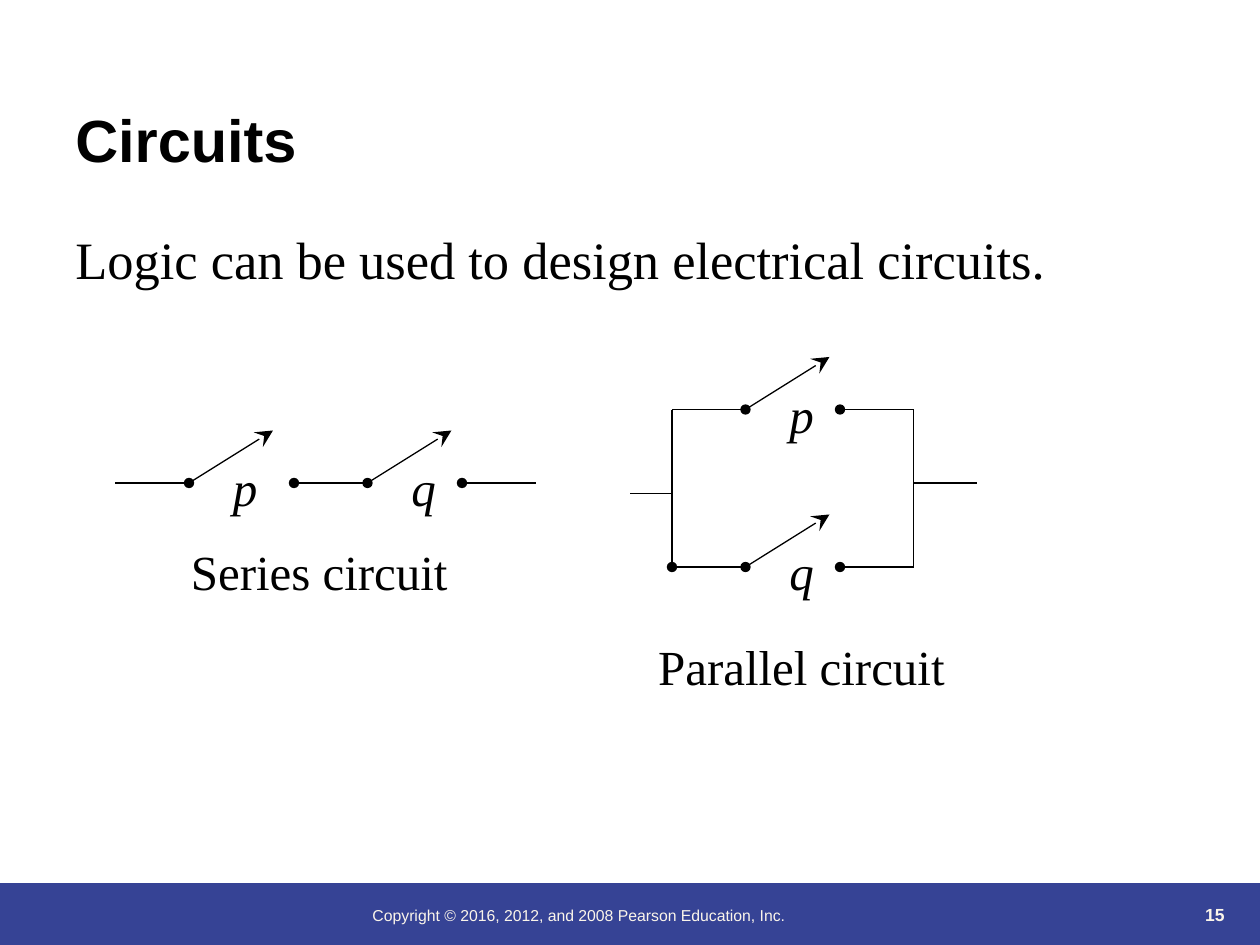
from dataclasses import dataclass

from lxml import etree
from pptx import Presentation
from pptx import util as u
from pptx.dml.color import RGBColor
from pptx.enum import shapes, text
from pptx.oxml.ns import qn

COLUMNS, ROWS = 120, 90
BLACK, CREAM, NAVY = "000000", "FBF5EA", "364395"
SERIF, SANS = "Times New Roman", "Arial"

deck = Presentation()
deck.slide_width, deck.slide_height = u.Inches(10), u.Inches(7.5)
slide = deck.slides.add_slide(deck.slide_layouts[6])


@dataclass(frozen=True)
class Wire:
    """A straight line between two grid points, with optional end marks."""
    x1: float
    y1: float
    x2: float
    y2: float
    head: str = ""
    tail: str = ""


@dataclass(frozen=True)
class Switch:
    """An open switch pivoting at a grid point."""
    column: float
    row: float
    name: str


def x(column: float) -> int:
    """Return the horizontal length of a number of columns."""
    return round(deck.slide_width * column / COLUMNS)


def y(row: float) -> int:
    """Return the vertical length of a number of rows."""
    return round(deck.slide_height * row / ROWS)


def paint(color_format, value: str) -> None:
    """Set a colour from a hex string."""
    color_format.rgb = RGBColor.from_string(value)


def write(words: str, column: float, row: float, width: float, height: float, *,
          size: float = 28, font: str = SERIF, color: str = BLACK,
          bold: bool = False, italic: bool = False,
          align=text.PP_ALIGN.LEFT, anchor=text.MSO_ANCHOR.TOP) -> None:
    """Place one paragraph of text on the grid."""
    frame = slide.shapes.add_textbox(x(column), y(row), x(width), y(height)).text_frame
    frame.word_wrap = True
    frame.vertical_anchor = anchor
    paragraph = frame.paragraphs[0]
    paragraph.alignment = align
    run = paragraph.add_run()
    run.text = words
    run.font.size, run.font.name = u.Pt(size), font
    run.font.bold, run.font.italic = bold, italic
    paint(run.font.color, color)


def draw_wire(wire: Wire) -> None:
    """Draw a wire with its end marks."""
    line = slide.shapes.add_connector(
        shapes.MSO_CONNECTOR.STRAIGHT, x(wire.x1), y(wire.y1), x(wire.x2), y(wire.y2))
    line.line.width = u.Pt(0.75)
    paint(line.line.color, BLACK)
    outline = line.line._get_or_add_ln()
    for tag, mark in (("a:headEnd", wire.head), ("a:tailEnd", wire.tail)):
        if mark:
            scale = "lg" if mark == "stealth" else "med"
            etree.SubElement(outline, qn(tag), type=mark, w=scale, len=scale)
    etree.SubElement(line._element.spPr, qn("a:effectLst"))


def draw_switch(switch: Switch) -> None:
    """Draw a switch arm and its label."""
    draw_wire(Wire(switch.column, switch.row, switch.column + 8, switch.row - 5,
                   tail="stealth"))
    write(switch.name, switch.column + 3, switch.row - 3, 9, 6.84, italic=True)


def draw_footer() -> None:
    """Draw the bottom band with its copyright line and slide number."""
    band = slide.shapes.add_shape(
        shapes.MSO_SHAPE.RECTANGLE, 0, y(84.1), x(COLUMNS), y(ROWS - 84.1))
    band.shadow.inherit = False
    band.fill.solid()
    paint(band.fill.fore_color, NAVY)
    band.line.fill.background()
    write("Copyright © 2016, 2012, and 2008 Pearson Education, Inc.",
          34.3, 85.7, 59, 4, size=9, font=SANS, color=CREAM)
    write("15", 106.8, 82.7, 11, 6, size=10, font=SANS, color=CREAM, bold=True,
          align=text.PP_ALIGN.RIGHT, anchor=text.MSO_ANCHOR.BOTTOM)


SERIES_WIRES = [
    Wire(11, 46, 18, 46, tail="oval"),
    Wire(28, 46, 35, 46, head="oval", tail="oval"),
    Wire(44, 46, 51, 46, head="oval"),
]
PARALLEL_WIRES = [
    Wire(64, 39, 71, 39, tail="oval"),
    Wire(64, 54, 71, 54, head="oval", tail="oval"),
    *(Wire(80, row, 87, row, head="oval") for row in (39, 54)),
    *(Wire(column, 39, column, 54) for column in (64, 87)),
    Wire(60, 47, 64, 47),
    Wire(87, 46, 93, 46),
]
SWITCHES = [Switch(18, 46, "p"), Switch(35, 46, "q"),
            Switch(71, 39, "p"), Switch(71, 54, "q")]


def main() -> None:
    """Build and save the slide."""
    draw_footer()
    write("Circuits", 6, 2.2, 108, 15, size=34, font=SANS, bold=True,
          anchor=text.MSO_ANCHOR.BOTTOM)
    write("Logic can be used to design electrical circuits.", 6, 21, 106, 7.2, size=30)
    for wire in SERIES_WIRES + PARALLEL_WIRES:
        draw_wire(wire)
    for switch in SWITCHES:
        draw_switch(switch)
    write("Series circuit", 17, 51, 27.7, 6.84)
    write("Parallel circuit", 61.5, 60, 30, 6.84)
    deck.save("out.pptx")


if __name__ == "__main__":
    main()
